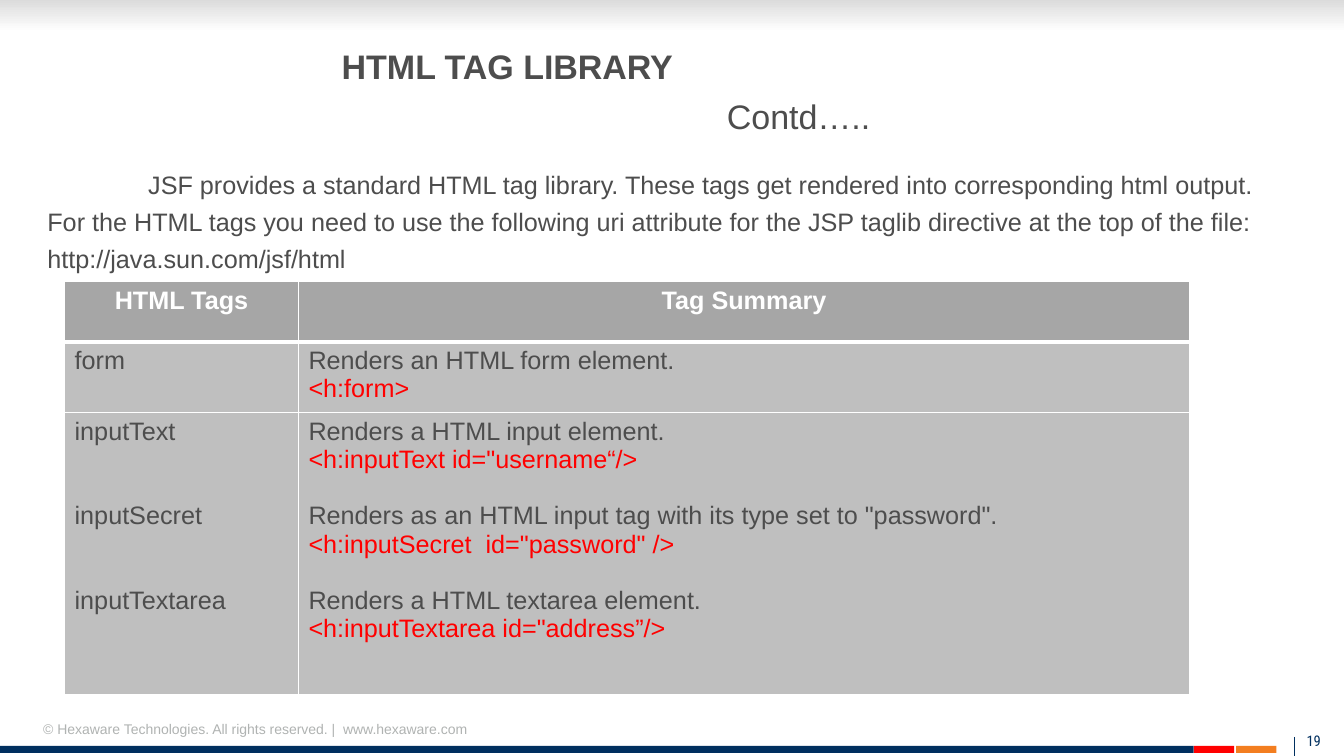
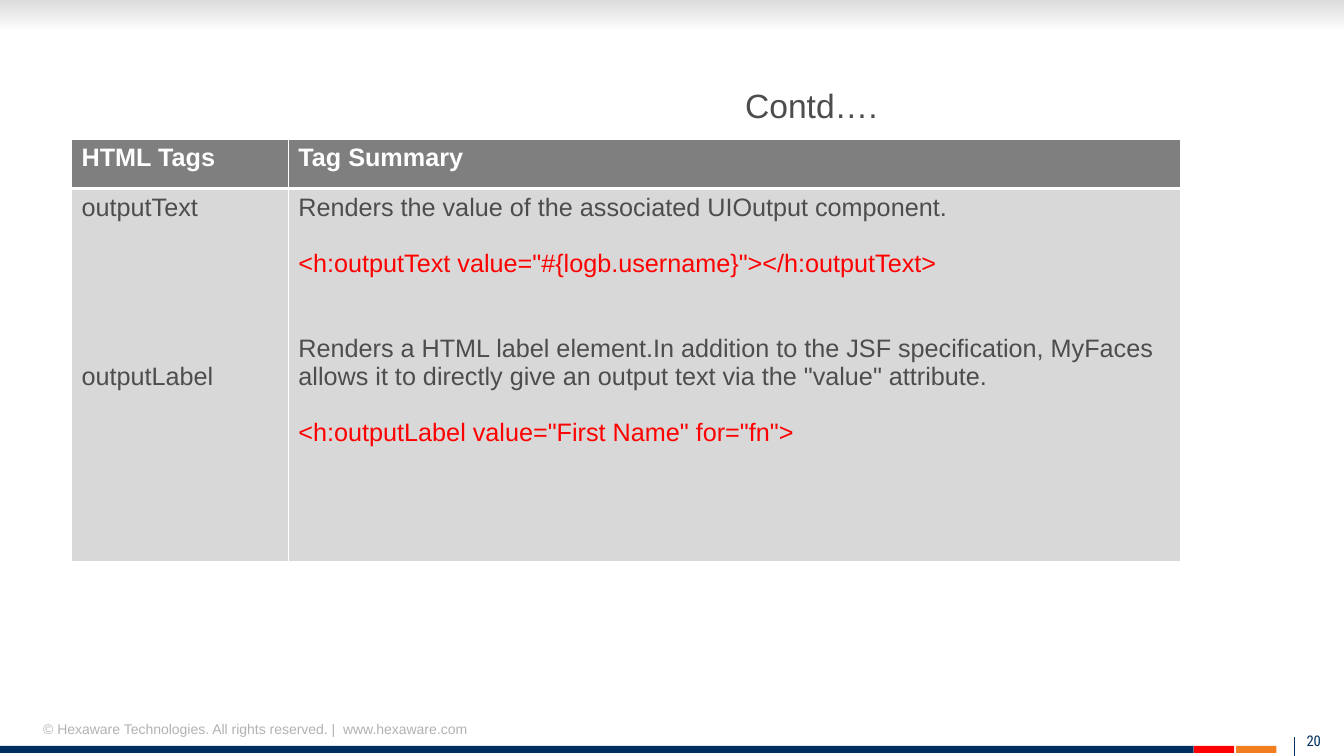
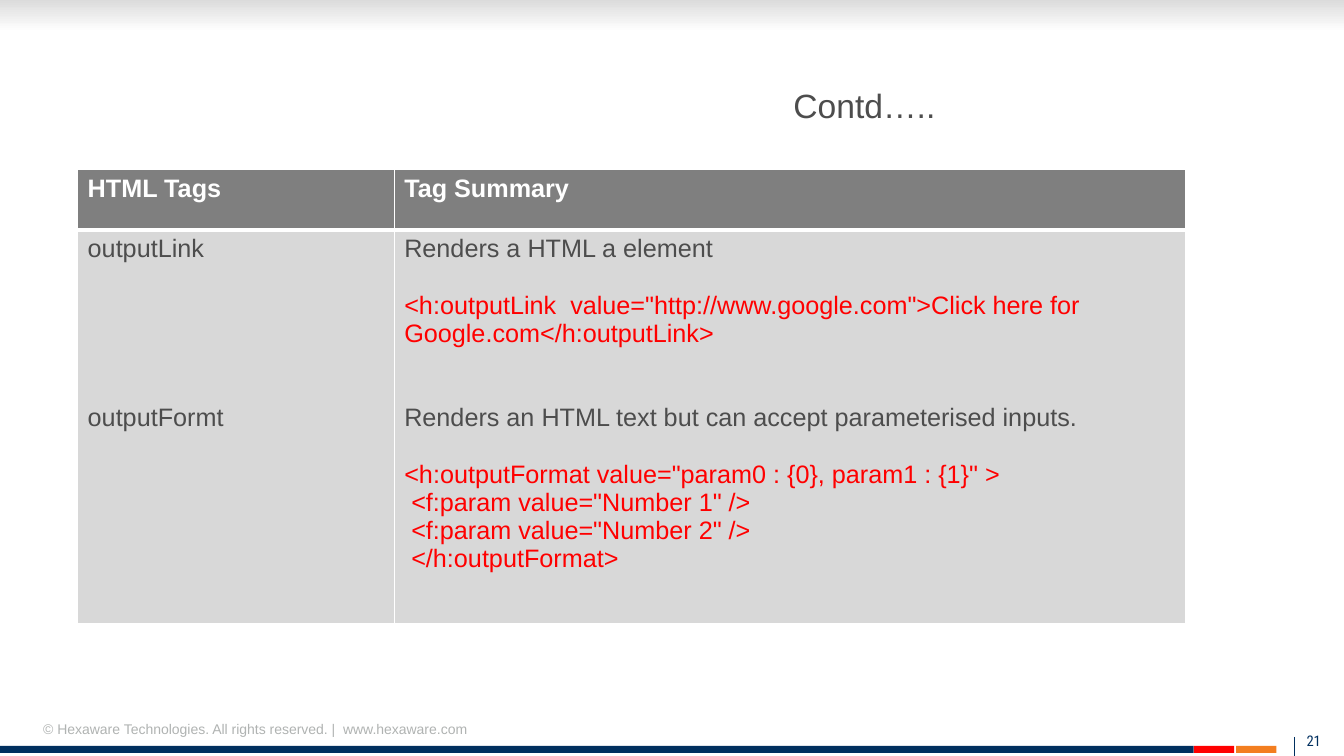
"""Builds three slides on the JSF HTML tag library."""
import pptx
import pptx.dml.color
import pptx.enum.shapes
import pptx.enum.text
import pptx.oxml
import pptx.oxml.ns
import pptx.util

Inches = pptx.util.Inches
Pt = pptx.util.Pt
ALIGN = pptx.enum.text.PP_ALIGN
ANCHOR = pptx.enum.text.MSO_ANCHOR

COLORS = {
    "text": "4D4D4D", "code": "FF0000", "white": "FFFFFF", "footer": "B0B3B2",
    "navy": "002F5F", "red": "FF0000", "orange": "F37E20", "band": "D9D9D9",
    "head": "7F7F7F", "cell": "D8D8D8", "head_light": "A6A6A6", "cell_dark": "BFBFBF",
}
FOOTER = "© Hexaware Technologies. All rights reserved. |  www.hexaware.com"
LINE = 20.1


def rgb(name):
    return pptx.dml.color.RGBColor.from_string(COLORS[name])


class Deck:
    def __init__(self):
        self.prs = pptx.Presentation()
        self.prs.slide_width = Inches(13.33)
        self.prs.slide_height = Inches(7.5)
        self.s = None

    def slide(self, number):
        self.s = self.prs.slides.add_slide(self.prs.slide_layouts[6])
        fill = self.rect(0, -0.02, 13.33, 1.44).fill
        fill.gradient()
        fill.gradient_angle = 270
        for stop, color, position in zip(fill.gradient_stops, ("band", "white"), (0, 0.23)):
            stop.color.rgb = rgb(color)
            stop.position = position
        self.line(12.84, 7.31, 12.84, 7.5)
        for x, w, color in ((0, 11.84, "navy"), (11.84, 0.4, "red"), (12.26, 0.4, "orange")):
            self.rect(x, 7.4, w, 0.07, color)
        tf = self.box(12.86, 7.21, 0.52, 0.4)
        self.para(tf, str(number), 10.5, "navy", font="Roboto Condensed")
        tf = self.box(0.33, 7.1, 4.52, 0.27, wrap=False)
        self.para(tf, FOOTER, 10, "footer")

    def rect(self, x, y, w, h, color=None):
        sp = self.s.shapes.add_shape(
            pptx.enum.shapes.MSO_SHAPE.RECTANGLE, Inches(x), Inches(y), Inches(w), Inches(h))
        sp.shadow.inherit = False
        sp.line.fill.background()
        if color:
            sp.fill.solid()
            sp.fill.fore_color.rgb = rgb(color)
        return sp

    def line(self, x1, y1, x2, y2):
        cxn = self.s.shapes.add_connector(
            pptx.enum.shapes.MSO_CONNECTOR.STRAIGHT,
            Inches(x1), Inches(y1), Inches(x2), Inches(y2))
        cxn.line.color.rgb = rgb("navy")
        cxn.line.width = Pt(0.75)
        cxn._element.spPr.append(pptx.oxml.parse_xml(
            f"<a:effectLst {pptx.oxml.ns.nsdecls('a')}/>"))

    def box(self, x, y, w, h, wrap=True, inset=(0.1, 0.05)):
        tf = self.s.shapes.add_textbox(Inches(x), Inches(y), Inches(w), Inches(h)).text_frame
        tf.word_wrap = wrap
        tf.margin_left = tf.margin_right = Inches(inset[0])
        tf.margin_top = tf.margin_bottom = Inches(inset[1])
        return tf

    def para(self, tf, text, size=18, color="text", bold=False, font="Arial",
             before=0, left=0, indent=0, align=ALIGN.LEFT):
        p = tf.paragraphs[0] if not tf.text else tf.add_paragraph()
        p.text = text
        p.alignment = align
        if before:
            p.space_before = Pt(before)
        if left or indent:
            pPr = p._p.get_or_add_pPr()
            pPr.set("marL", str(Inches(left)))
            pPr.set("indent", str(Inches(indent)))
        for r in p.runs:
            r.font.name = font
            r.font.size = Pt(size)
            r.font.bold = bold
            r.font.color.rgb = rgb(color)

    def title(self, y, h, *lines, size=24):
        tf = self.box(0.33, y, 9.67, h, inset=(0.08, 0.04))
        tf.vertical_anchor = ANCHOR.MIDDLE
        for i, (text, bold, left) in enumerate(lines):
            self.para(tf, text, size, bold=bold, left=left, before=7 if i else 0)

    def body(self, *lines):
        tf = self.box(0.39, 1.64, 12.48, 1.1, inset=(0.08, 0.04))
        for i, text in enumerate(lines):
            self.para(tf, text, before=5 if i else 0, indent=0 if i else 1)

    def borders(self, cell, top, bottom):
        tcPr = cell._tc.get_or_add_tcPr()
        for side, width in (("L", 1), ("R", 1), ("T", top), ("B", bottom)):
            tcPr.append(pptx.oxml.parse_xml(
                f'<a:ln{side} {pptx.oxml.ns.nsdecls("a")} w="{Pt(width)}"><a:solidFill>'
                f'<a:srgbClr val="{COLORS["white"]}"/></a:solidFill></a:ln{side}>'))

    def table(self, x, y, widths, heights, rows, head="head", cell_fill="cell", align=ALIGN.LEFT):
        rows = [[[(0, "HTML Tags")], [(0, "Tag Summary")]]] + rows
        tbl = self.s.shapes.add_table(
            len(rows), len(widths), Inches(x), Inches(y),
            Inches(sum(widths)), Inches(sum(heights))).table
        tbl.horz_banding = False
        for col, w in zip(tbl.columns, widths):
            col.width = Inches(w)
        for i, (row, h) in enumerate(zip(rows, heights)):
            tbl.rows[i].height = Inches(h)
            for j, lines in enumerate(row):
                cell = tbl.cell(i, j)
                self.borders(cell, 3 if i == 1 else 1, 3 if i == 0 else 1)
                cell.fill.solid()
                cell.fill.fore_color.rgb = rgb(cell_fill if i else head)
                for gap, text in lines:
                    color = "code" if text.strip().startswith("<") else "text"
                    self.para(cell.text_frame, text, color=color if i else "white",
                              bold=i == 0, before=gap * LINE,
                              align=ALIGN.LEFT if i else align)


def main():
    deck = Deck()

    deck.slide(19)
    deck.title(0.4, 1, ("HTML TAG LIBRARY", True, 2.98), ("Contd…..", False, 6.8), size=24.3)
    deck.body(
        "JSF provides a standard HTML tag library. These tags get rendered into corresponding html output.",
        "For the HTML tags you need to use the following uri attribute for the JSP taglib directive at the top of the file:",
        "http://java.sun.com/jsf/html")
    deck.table(0.64, 2.79, (2.32, 8.84), (0.6, 0.7, 2.8), [
        [[(0, "form")], [(0, "Renders an HTML form element."), (0, "<h:form>")]],
        [[(0, "inputText"), (2, "inputSecret"), (2, "inputTextarea")],
         [(0, "Renders a HTML input element."),
          (0, '<h:inputText id="username“/>'),
          (1, 'Renders as an HTML input tag with its type set to "password".'),
          (0, '<h:inputSecret  id="password" />'),
          (1, "Renders a HTML textarea element."),
          (0, '<h:inputTextarea id="address”/>')]],
    ], "head_light", "cell_dark", ALIGN.CENTER)

    deck.slide(20)
    deck.title(0.65, 0.79, ("Contd….", False, 6.98))
    deck.table(0.71, 1.38, (2.15, 8.85), (0.49, 3.7), [
        [[(0, "outputText"), (5, "outputLabel")],
         [(0, "Renders the value of the associated UIOutput component."),
          (1, '<h:outputText value="#{logb.username}"></h:outputText>'),
          (2, "Renders a HTML label element.In addition to the JSF specification, MyFaces "
              'allows it to directly give an output text via the "value" attribute.'),
          (1, '<h:outputLabel value="First Name" for="fn">')]],
    ])

    deck.slide(21)
    deck.title(0.65, 0.79, ("Contd…..", False, 7.46))
    deck.table(0.77, 1.68, (3.14, 7.85), (0.6, 3.91), [
        [[(0, "outputLink"), (5, "outputFormt")],
         [(0, "Renders a HTML a element"),
          (1, '<h:outputLink  value="http://www.google.com">Click here for Google.com</h:outputLink>'),
          (2, "Renders an HTML text but can accept parameterised inputs."),
          (1, '<h:outputFormat value="param0 : {0}, param1 : {1}" >'),
          (0, ' <f:param value="Number 1" />'),
          (0, ' <f:param value="Number 2" />'),
          (0, " </h:outputFormat>")]],
    ])

    deck.prs.save("out.pptx")


if __name__ == "__main__":
    main()
